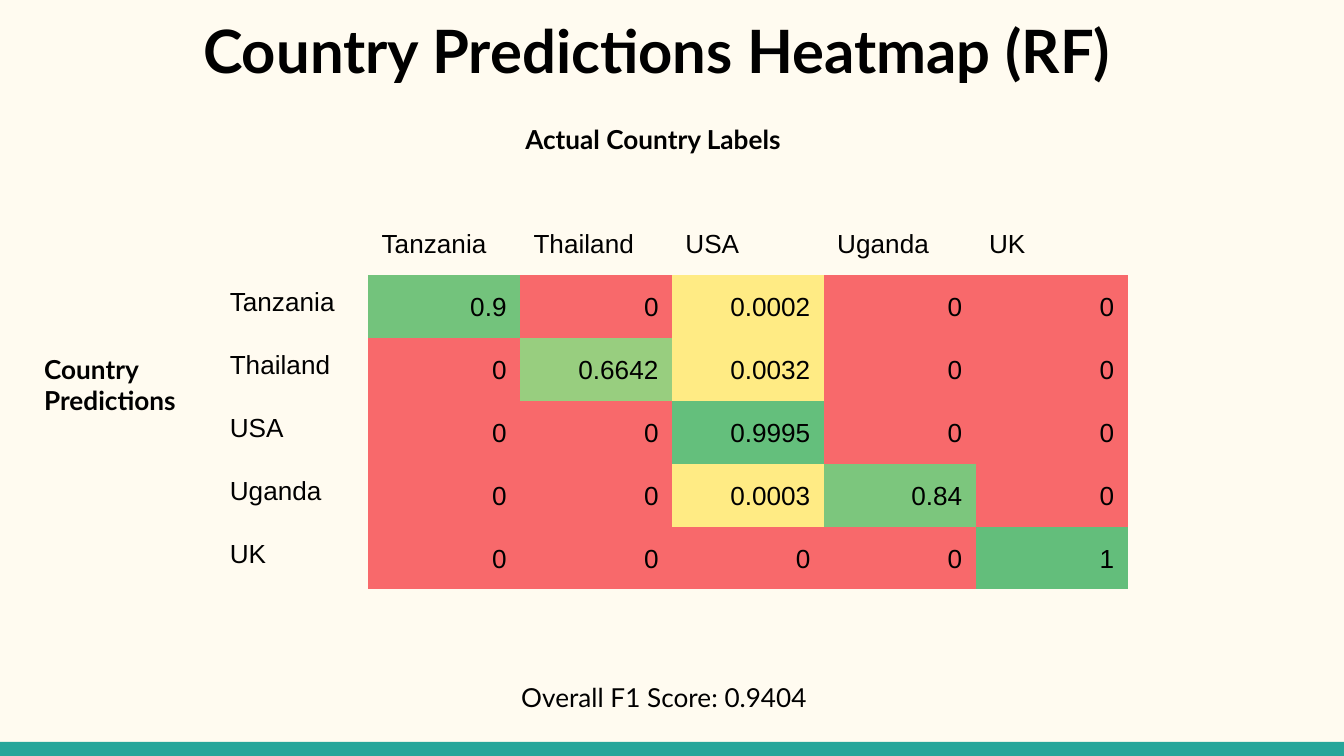
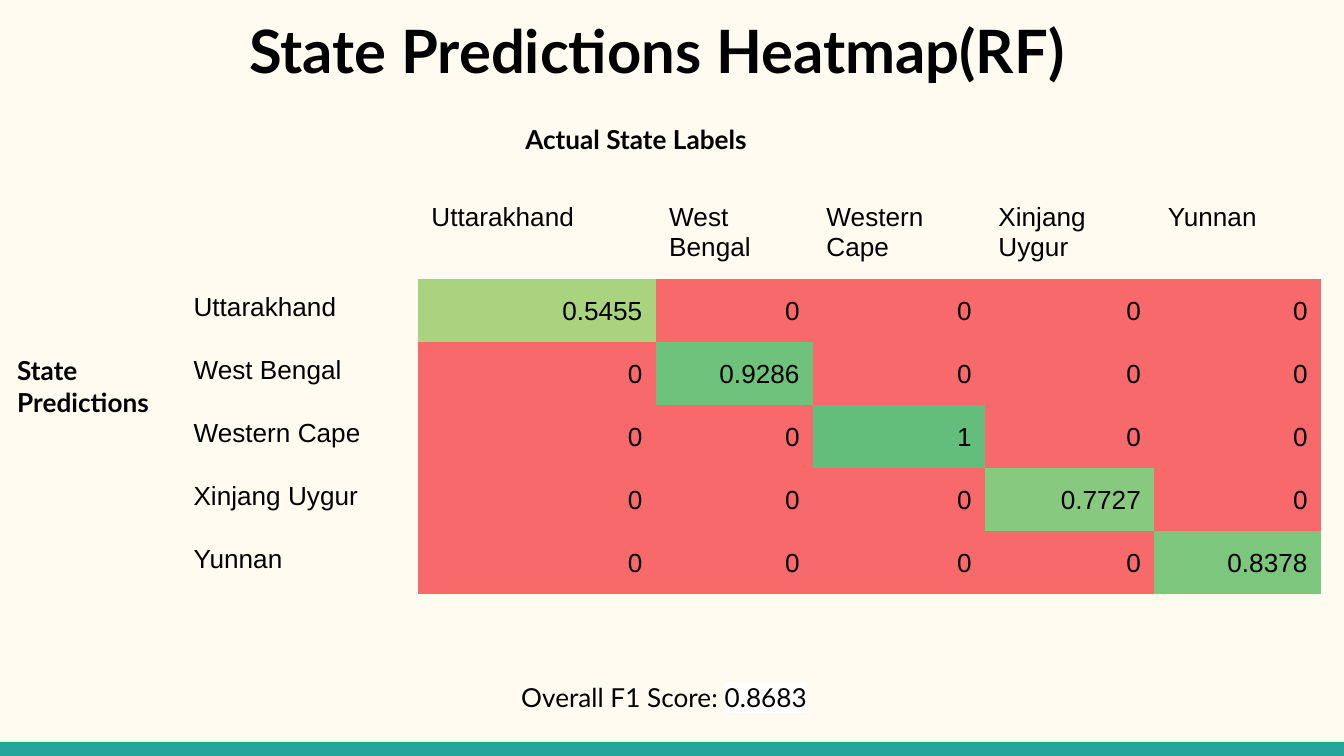
from math import ceil

from lxml import etree
from pptx import Presentation
from pptx.dml.color import RGBColor
from pptx.enum.shapes import MSO_SHAPE
from pptx.enum.text import MSO_ANCHOR, PP_ALIGN
from pptx.oxml.ns import qn
from pptx.util import Inches, Pt

RECT = MSO_SHAPE.RECTANGLE
TOP = MSO_ANCHOR.TOP
LEFT, CENTER, RIGHT = PP_ALIGN.LEFT, PP_ALIGN.CENTER, PP_ALIGN.RIGHT

COLORS = {
    "background": "FFFBF0", "band": "26A69A", "text": "000000",
    "highlight": "FFFFFF", "zero": "F8696B", "low": "FFEB84", "high": "63BE7B",
}
HEAD_FONT, CELL_FONT = "Lato", "Arial"
PLAIN_TABLE = "{2D5ABB26-0587-4C30-8999-92F81FD0307C}"

# Content: one heatmap per slide; a row height of 0 lets the row fit its text
HEATMAPS = [
    {
        "title": "Country Predictions Heatmap (RF)",
        "top_label": "Actual Country Labels",
        "side_label": "Country Predictions", "side_at": (0.23, 2.53),
        "score": "0.9404", "highlight": False,
        "table_box": (1.61, 1.61, 6.78, 2.66),
        "widths": [1.13] * 6,
        "heights": [0] * 6,
        "names": ["Tanzania", "Thailand", "USA", "Uganda", "UK"],
        "values": [
            ["0.9", "0", "0.0002", "0", "0"],
            ["0", "0.6642", "0.0032", "0", "0"],
            ["0", "0", "0.9995", "0", "0"],
            ["0", "0", "0.0003", "0.84", "0"],
            ["0", "0", "0", "0", "1"],
        ],
    },
    {
        "title": "State Predictions Heatmap(RF)",
        "top_label": "Actual State Labels",
        "side_label": "State Predictions", "side_at": (0.03, 2.54),
        "score": "0.8683", "highlight": True,
        "table_box": (1.34, 1.41, 8.49, 2.89),
        "widths": [1.77, 1.77, 1.17, 1.28, 1.26, 1.24],
        "heights": [0.38, 0, 0.38, 0.38, 0.38, 0],
        "names": ["Uttarakhand", "West Bengal", "Western Cape",
                  "Xinjang Uygur", "Yunnan"],
        "values": [
            ["0.5455", "0", "0", "0", "0"],
            ["0", "0.9286", "0", "0", "0"],
            ["0", "0", "1", "0", "0"],
            ["0", "0", "0", "0.7727", "0"],
            ["0", "0", "0", "0", "0.8378"],
        ],
    },
]


def rgb(name):
    return RGBColor.from_string(COLORS[name])


def heat_color(value):
    """Red for zero, otherwise a blend from the low to the high colour."""
    if value == 0:
        return rgb("zero")
    pairs = zip(rgb("low"), rgb("high"))
    return RGBColor(*(ceil(a + (b - a) * value) for a, b in pairs))


def add_run(p, text, font, size=14, bold=False):
    r = p.add_run()
    r.text = text
    r.font.name, r.font.size, r.font.bold = font, Pt(size), bold
    r.font.color.rgb = rgb("text")
    return r


def highlight(r):
    latin = r.font._element.find(qn("a:latin"))
    mark = etree.Element(qn("a:highlight"))
    etree.SubElement(mark, qn("a:srgbClr"), val=COLORS["highlight"])
    latin.addprevious(mark)


def add_text(slide, box, text, size=14, bold=False, align=LEFT, right_inset=0.1):
    tf = slide.shapes.add_textbox(*map(Inches, box)).text_frame
    tf.word_wrap = True
    tf.vertical_anchor = TOP
    tf.margin_left = tf.margin_top = tf.margin_bottom = Inches(0.1)
    tf.margin_right = Inches(right_inset)
    p = tf.paragraphs[0]
    p.alignment = align
    add_run(p, text, HEAD_FONT, size, bold)
    return p


def add_band(slide):
    sp = slide.shapes.add_shape(RECT, 0, Inches(5.52), Inches(10), Inches(0.11))
    sp.shadow.inherit = False
    sp.fill.solid()
    sp.fill.fore_color.rgb = rgb("band")
    sp.line.fill.background()


def fill_cell(cell, text, is_value):
    cell.margin_left = cell.margin_right = Inches(0.1)
    cell.margin_top = cell.margin_bottom = Inches(0.1 if text else 0)
    cell.vertical_anchor = TOP
    p = cell.text_frame.paragraphs[0]
    if text:
        add_run(p, text, CELL_FONT)
    if is_value:
        p.alignment = RIGHT
        p.line_spacing = 1.15
        cell.fill.solid()
        cell.fill.fore_color.rgb = heat_color(float(text))
    else:
        cell.fill.background()


def add_heatmap(slide, data):
    names, box = data["names"], data["table_box"]
    grid = [[""] + names]
    grid += [[name] + row for name, row in zip(names, data["values"])]
    frame = slide.shapes.add_table(len(grid), len(grid[0]), *map(Inches, box))
    table = frame.table
    table.first_row = table.horz_banding = False
    table._tbl.tblPr.find(qn("a:tableStyleId")).text = PLAIN_TABLE
    for column, width in zip(table.columns, data["widths"]):
        column.width = Inches(width)
    for row, height in zip(table.rows, data["heights"]):
        row.height = Inches(height)
    frame.height = Inches(box[3])
    for i, row in enumerate(grid):
        for j, text in enumerate(row):
            fill_cell(table.cell(i, j), text, i > 0 and j > 0)


def add_heatmap_slide(prs, data):
    slide = prs.slides.add_slide(prs.slide_layouts[6])
    add_band(slide)
    add_text(slide, (0.34, 0, 9.32, 0.67), data["title"], 32, True, CENTER, 0.32)
    add_text(slide, (3.81, 0.82, 2.39, 0.25), data["top_label"], bold=True)
    p = add_text(slide, (3.78, 4.97, 2.45, 0.48), "Overall F1 Score: ")
    score = add_run(p, data["score"], HEAD_FONT)
    if data["highlight"]:
        highlight(score)
    add_heatmap(slide, data)
    add_text(slide, data["side_at"] + (1.54, 0.57), data["side_label"], bold=True)


def main():
    prs = Presentation()
    prs.slide_width = Inches(10)
    prs.slide_height = prs.slide_width * 9 // 16
    background = prs.slide_master.background.fill
    background.solid()
    background.fore_color.rgb = rgb("background")
    for data in HEATMAPS:
        add_heatmap_slide(prs, data)
    prs.save("out.pptx")


if __name__ == "__main__":
    main()
